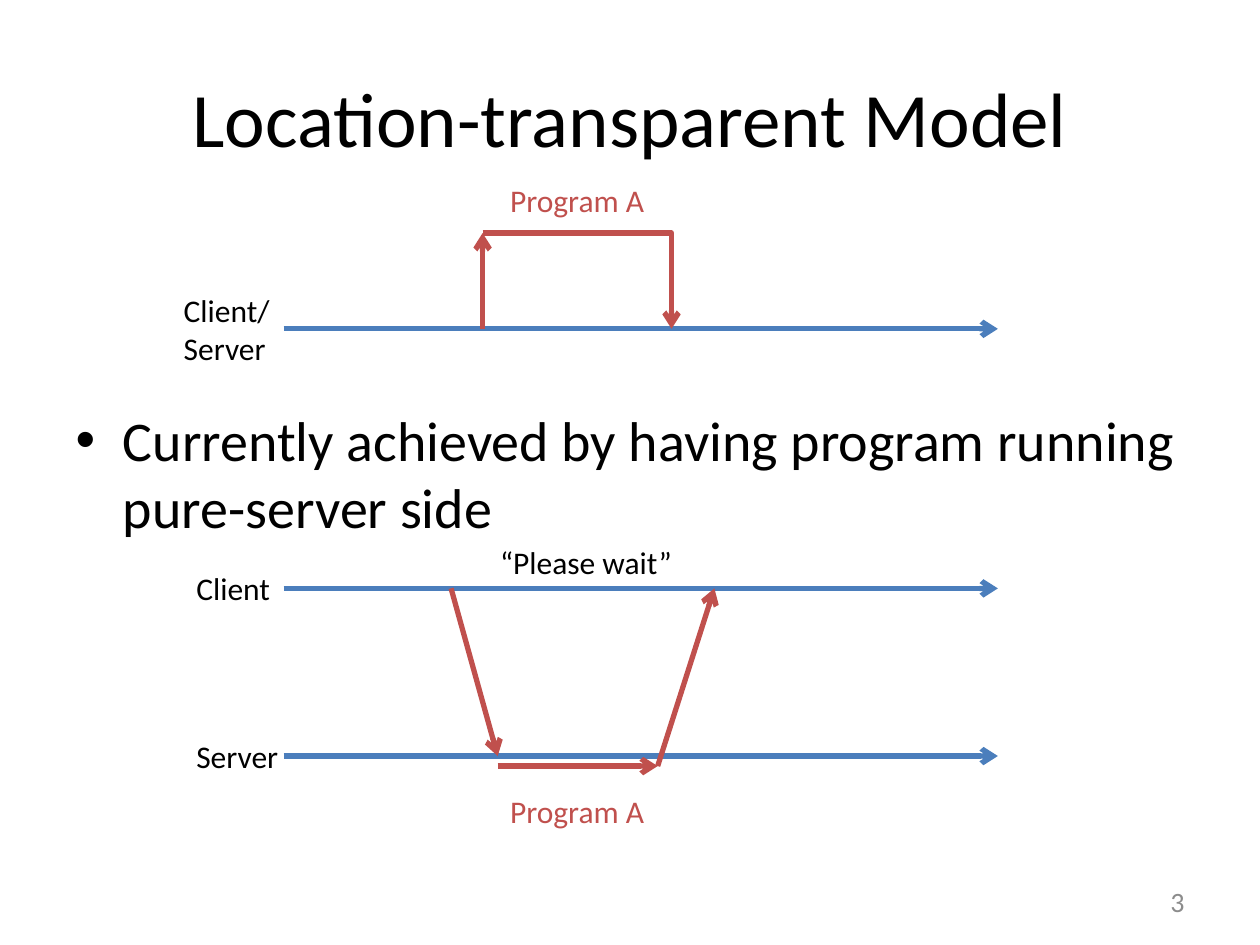
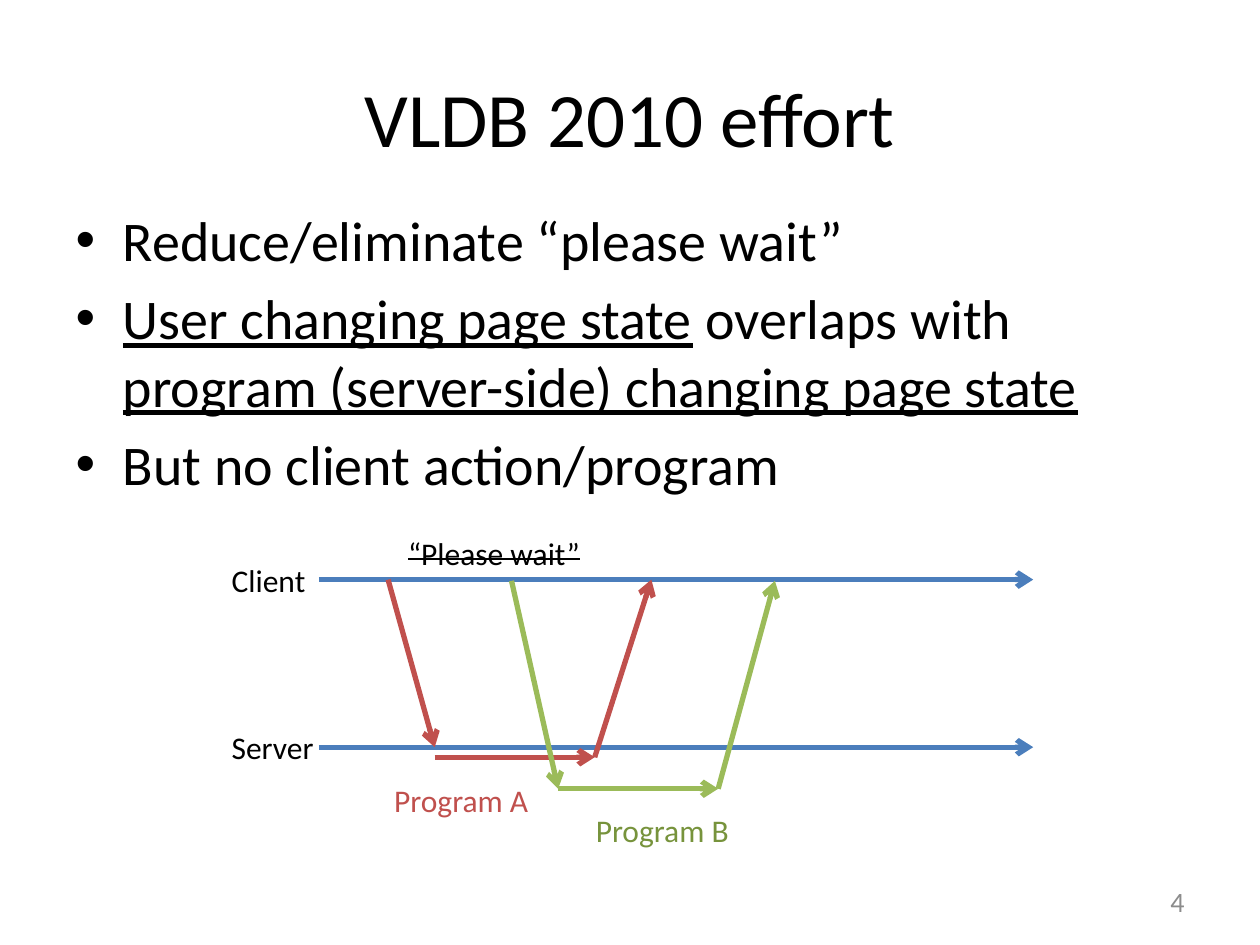
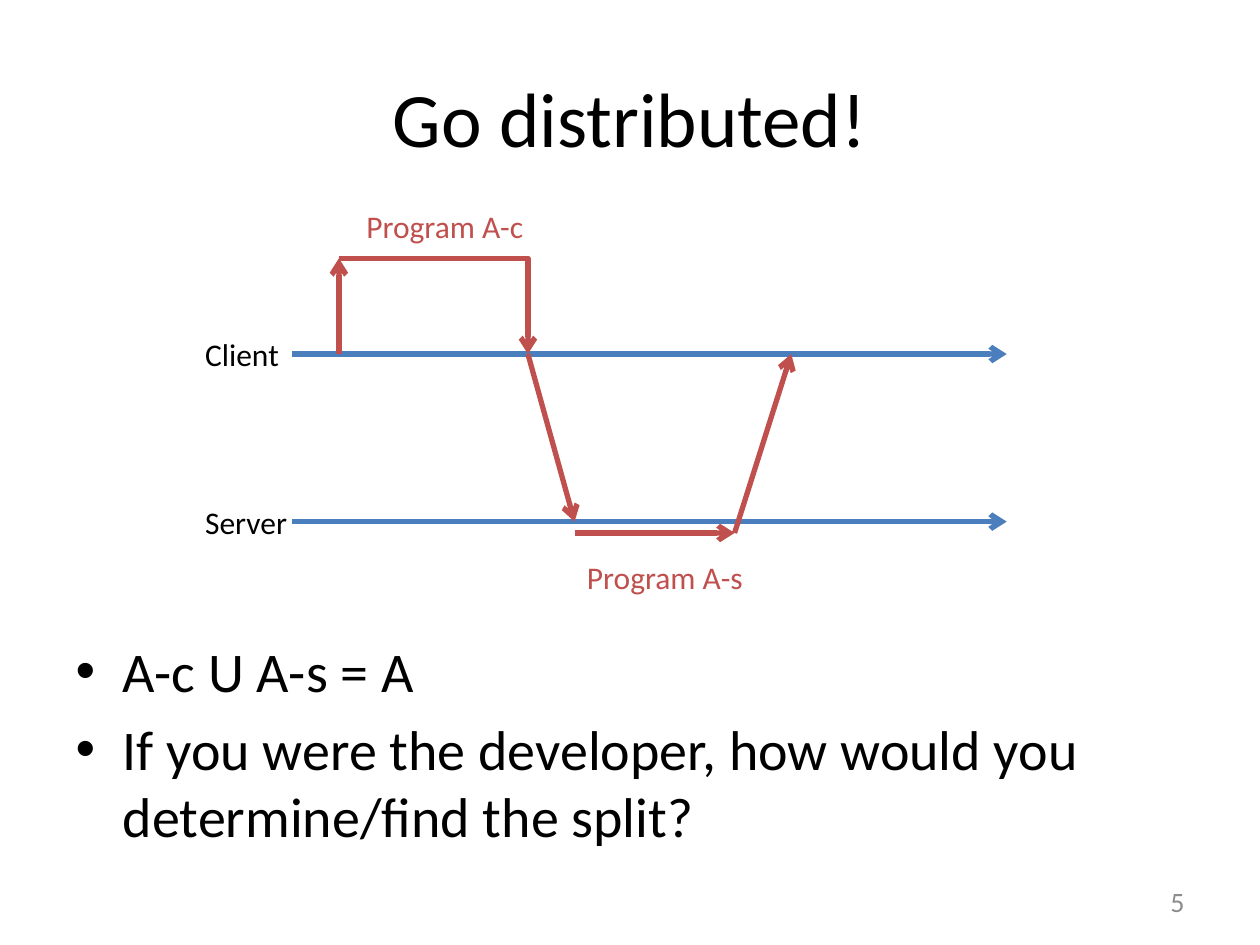
from dataclasses import dataclass

import pptx
import pptx.dml.color
import pptx.enum.shapes
import pptx.enum.text
import pptx.oxml.ns
import pptx.oxml.xmlchemy
import pptx.presentation
import pptx.shapes.base
import pptx.shapes.connector
import pptx.slide
import pptx.text.text
import pptx.util
from lxml import etree

PX = 9144  # EMU in one px, 100 px to the inch
CONNECTOR = pptx.enum.shapes.MSO_CONNECTOR
ALIGN = pptx.enum.text.PP_ALIGN
ANCHOR = pptx.enum.text.MSO_ANCHOR
AUTO_SIZE = pptx.enum.text.MSO_AUTO_SIZE


@dataclass(frozen=True)
class Theme:
    font: str = "Calibri"
    text: str = "000000"
    number: str = "8C8C8C"
    timeline: str = "4B7EBC"
    program_a: str = "C0504D"
    program_b: str = "9BBB59"
    program_b_text: str = "77933C"
    title_size: int = 44
    body_size: int = 32
    label_size: int = 18
    number_size: int = 16
    line_width: int = 3


THEME = Theme()

# Shared measures, in px
SLIDE_WIDTH, SLIDE_HEIGHT = 1000, 750
MARGIN, CONTENT_WIDTH = 50, 900
TITLE_TOP, TITLE_HEIGHT = 30, 125
NUMBER_BOX = (717, 695, 233, 40)
TIMELINE_LENGTH = 567
LABEL_INDENT = 79  # from label to the start of its timeline
LINE_HEIGHT, EXTRA_LINE = 40, 30
DETOUR_WIDTH, DETOUR_HEIGHT = 150, 76
SEND, WORK, REPLY = 37, 127, 45  # horizontal reach of each step of a call


@dataclass(frozen=True)
class Run:
    text: str
    underline: bool = False


@dataclass(frozen=True)
class Label:
    """A small caption; each entry of lines is one paragraph."""
    lines: tuple[str, ...]
    left: int
    top: int
    width: int
    color: str = THEME.text
    strike: bool = False


@dataclass(frozen=True)
class Timeline:
    lines: tuple[str, ...]
    label_width: int
    start: int
    y: int
    indent: int = LABEL_INDENT


@dataclass(frozen=True)
class Detour:
    """A program that runs on the timeline where it was started."""
    x: int
    y: int


@dataclass(frozen=True)
class RemoteCall:
    """A program that the client starts on the server."""
    x: int
    client_y: int
    arrival_y: int
    work_y: int
    color: str = THEME.program_a


@dataclass(frozen=True)
class Page:
    number: int
    title: str
    body_top: int
    body_height: int
    bullets: tuple[tuple[Run, ...], ...]
    timelines: tuple[Timeline, ...]
    detours: tuple[Detour, ...]
    calls: tuple[RemoteCall, ...]
    labels: tuple[Label, ...]


PAGES = (
    Page(
        number=3,
        title="Location-transparent Model",
        body_top=317,
        body_height=125,
        bullets=((Run("Currently achieved by having program running pure-server side"),),),
        timelines=(
            Timeline(("Client/", "Server"), 89, 225, 261, indent=89),
            Timeline(("Client",), 79, 225, 467),
            Timeline(("Server",), 86, 225, 600),
        ),
        detours=(Detour(383, 261),),
        calls=(RemoteCall(358, 467, 600, 608),),
        labels=(
            Label(("Program A",), 395, 139, 128, THEME.program_a),
            Label(("Program A",), 395, 624, 128, THEME.program_a),
            Label(("“Please wait”",), 387, 426, 158),
        ),
    ),
    Page(
        number=4,
        title="VLDB 2010 effort",
        body_top=158,
        body_height=233,
        bullets=(
            (Run("Reduce/eliminate “please wait”"),),
            (
                Run("User changing page state", underline=True),
                Run(" overlaps with "),
                Run("program (server-side) changing page state", underline=True),
            ),
            (Run("But no client action/program"),),
        ),
        timelines=(
            Timeline(("Client",), 79, 253, 460),
            Timeline(("Server",), 86, 253, 593),
        ),
        detours=(),
        calls=(
            RemoteCall(308, 460, 593, 601),
            RemoteCall(406, 461, 626, 626, THEME.program_b),
        ),
        labels=(
            Label(("Program A",), 303, 615, 128, THEME.program_a),
            Label(("“Please wait”",), 314, 419, 158, strike=True),
            Label(("Program B",), 463, 639, 128, THEME.program_b_text),
        ),
    ),
    Page(
        number=5,
        title="Go distributed!",
        body_top=500,
        body_height=170,
        bullets=(
            (Run("A-c U A-s = A"),),
            (Run("If you were the developer, how would you determine/find the split?"),),
        ),
        timelines=(
            Timeline(("Client",), 79, 232, 281),
            Timeline(("Server",), 86, 232, 414),
        ),
        detours=(Detour(269, 281),),
        calls=(RemoteCall(419, 281, 414, 423),),
        labels=(
            Label(("Program A-s",), 456, 438, 145, THEME.program_a),
            Label(("Program A-c",), 281, 159, 146, THEME.program_a),
        ),
    ),
)


def rgb(color: str) -> pptx.dml.color.RGBColor:
    return pptx.dml.color.RGBColor.from_string(color)


def style(paragraph: pptx.text.text._Paragraph, size: int, color: str = THEME.text) -> None:
    paragraph.font.name = THEME.font
    paragraph.font.size = pptx.util.Pt(size)
    paragraph.font.color.rgb = rgb(color)


def place(shape: pptx.shapes.base.BaseShape, left: int, top: int, width: int, height: int) -> None:
    shape.left, shape.top = left * PX, top * PX
    shape.width, shape.height = width * PX, height * PX


def label_height(lines: tuple[str, ...]) -> int:
    return LINE_HEIGHT + EXTRA_LINE * (len(lines) - 1)


# Text


def add_title(slide: pptx.slide.Slide, text: str) -> None:
    title = slide.shapes.title
    place(title, MARGIN, TITLE_TOP, CONTENT_WIDTH, TITLE_HEIGHT)
    title.text_frame.vertical_anchor = ANCHOR.MIDDLE
    paragraph = title.text_frame.paragraphs[0]
    paragraph.text = text
    paragraph.alignment = ALIGN.CENTER
    style(paragraph, THEME.title_size)


def add_body(slide: pptx.slide.Slide, page: Page) -> None:
    body = slide.placeholders[1]
    place(body, MARGIN, page.body_top, CONTENT_WIDTH, page.body_height)
    frame = body.text_frame
    frame.auto_size = AUTO_SIZE.NONE
    for index, bullet in enumerate(page.bullets):
        paragraph = frame.add_paragraph() if index else frame.paragraphs[0]
        if not index:
            paragraph.space_before = pptx.util.Pt(0)
        style(paragraph, THEME.body_size)
        for part in bullet:
            run = paragraph.add_run()
            run.text = part.text
            if part.underline:
                run.font.underline = True


def add_number(slide: pptx.slide.Slide, number: int) -> None:
    box = slide.shapes.add_textbox(*(length * PX for length in NUMBER_BOX))
    box.text_frame.word_wrap = True
    box.text_frame.vertical_anchor = ANCHOR.MIDDLE
    paragraph = box.text_frame.paragraphs[0]
    paragraph.text = str(number)
    paragraph.alignment = ALIGN.RIGHT
    style(paragraph, THEME.number_size, THEME.number)


def add_label(slide: pptx.slide.Slide, label: Label) -> pptx.shapes.base.BaseShape:
    box = slide.shapes.add_textbox(0, 0, 0, 0)
    place(box, label.left, label.top, label.width, label_height(label.lines))
    frame = box.text_frame
    frame.word_wrap = False
    frame.auto_size = AUTO_SIZE.SHAPE_TO_FIT_TEXT
    for index, line in enumerate(label.lines):
        paragraph = frame.add_paragraph() if index else frame.paragraphs[0]
        run = paragraph.add_run()
        run.text = line
        if label.strike:
            run._r.get_or_add_rPr().set("strike", "sngStrike")
        style(paragraph, THEME.label_size, label.color)
    return box


# Arrows


def add_arrow(
    slide: pptx.slide.Slide,
    begin: tuple[int, int],
    end: tuple[int, int],
    color: str,
    kind: CONNECTOR = CONNECTOR.STRAIGHT,
) -> pptx.shapes.connector.Connector:
    arrow = slide.shapes.add_connector(kind, *(length * PX for length in begin + end))
    arrow.line.color.rgb = rgb(color)
    arrow.line.width = pptx.util.Pt(THEME.line_width)
    qn = pptx.oxml.ns.qn
    etree.SubElement(arrow.line._get_or_add_ln(), qn("a:tailEnd"), type="arrow")
    properties = arrow._element.spPr
    etree.SubElement(properties, qn("a:effectLst"))
    if kind == CONNECTOR.ELBOW:  # turn only at the far end
        adjustments = properties.find(qn("a:prstGeom")).get_or_add_avLst()
        etree.SubElement(adjustments, qn("a:gd"), name="adj1", fmla="val 100000")
    return arrow


def add_timeline(slide: pptx.slide.Slide, timeline: Timeline) -> None:
    left = timeline.start - timeline.indent
    top = timeline.y - label_height(timeline.lines) // 2
    label = add_label(slide, Label(timeline.lines, left, top, timeline.label_width))
    begin = (timeline.start, timeline.y)
    end = (timeline.start + TIMELINE_LENGTH, timeline.y)
    arrow = add_arrow(slide, begin, end, THEME.timeline)
    if left + timeline.label_width == timeline.start:
        arrow.begin_connect(label, 3)


def add_detour(slide: pptx.slide.Slide, detour: Detour) -> None:
    corner = (detour.x, detour.y - DETOUR_HEIGHT)
    end = (detour.x + DETOUR_WIDTH, detour.y)
    add_arrow(slide, (detour.x, detour.y), corner, THEME.program_a)
    add_arrow(slide, corner, end, THEME.program_a, CONNECTOR.ELBOW)


def add_call(slide: pptx.slide.Slide, call: RemoteCall) -> None:
    arrival = call.x + SEND
    finish = arrival + WORK
    add_arrow(slide, (call.x, call.client_y), (arrival, call.arrival_y), call.color)
    add_arrow(slide, (arrival, call.work_y), (finish, call.work_y), call.color)
    add_arrow(slide, (finish, call.work_y), (finish + REPLY, call.client_y), call.color)


# Slides


def add_page(presentation: pptx.presentation.Presentation, page: Page) -> None:
    slide = presentation.slides.add_slide(presentation.slide_layouts[1])
    add_title(slide, page.title)
    add_body(slide, page)
    add_number(slide, page.number)
    for timeline in page.timelines:
        add_timeline(slide, timeline)
    for detour in page.detours:
        add_detour(slide, detour)
    for call in page.calls:
        add_call(slide, call)
    for label in page.labels:
        add_label(slide, label)


def main() -> None:
    presentation = pptx.Presentation()
    presentation.slide_width = SLIDE_WIDTH * PX
    presentation.slide_height = SLIDE_HEIGHT * PX
    for page in PAGES:
        add_page(presentation, page)
    presentation.save("out.pptx")


if __name__ == "__main__":
    main()
